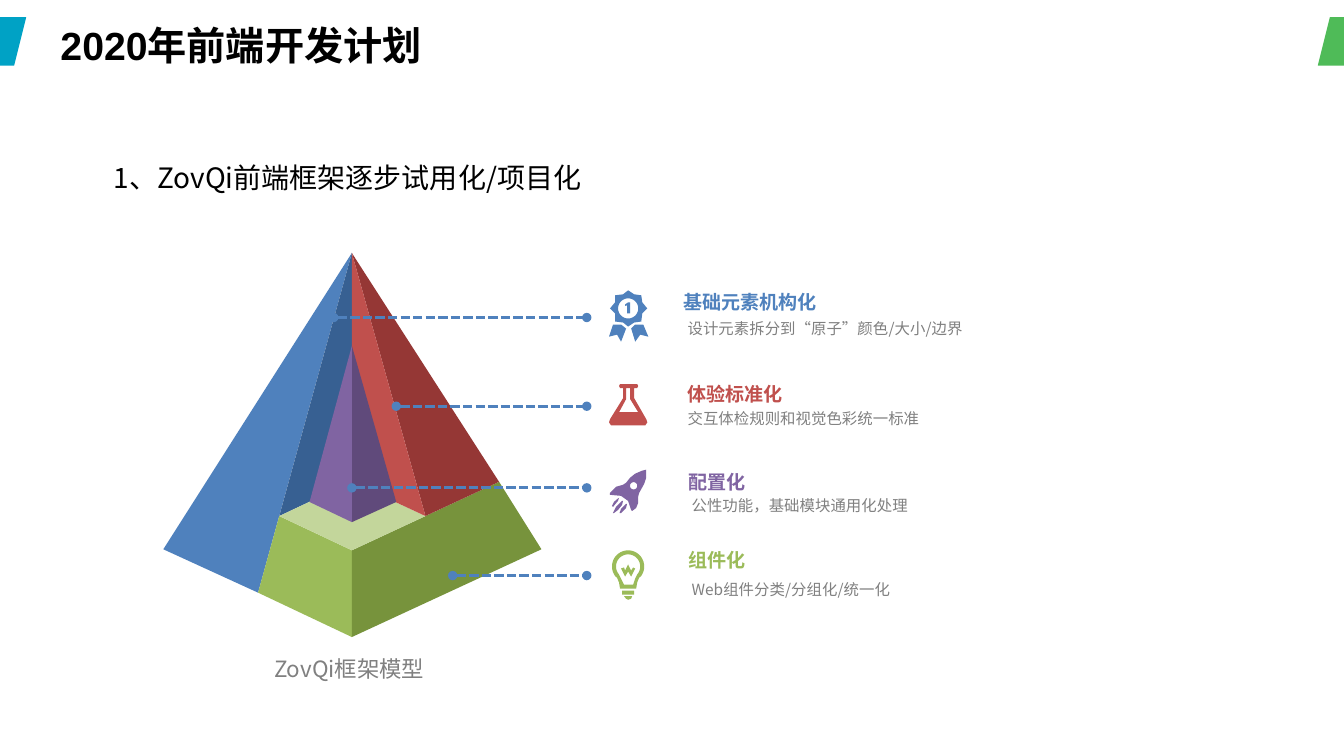
from math import cos, radians, sin

from lxml import etree
from pptx import Presentation
from pptx.dml.color import RGBColor
from pptx.enum.dml import MSO_LINE
from pptx.enum.shapes import MSO_CONNECTOR, MSO_SHAPE
from pptx.enum.text import MSO_ANCHOR
from pptx.oxml.ns import qn
from pptx.util import Inches, Pt

PARALLELOGRAM = MSO_SHAPE.PARALLELOGRAM
STRAIGHT = MSO_CONNECTOR.STRAIGHT
DASH = MSO_LINE.SQUARE_DOT
TOP, BOTTOM = MSO_ANCHOR.TOP, MSO_ANCHOR.BOTTOM

COLUMNS, ROWS = 1333, 750  # grid of cells, each 0.01 inch
CELL = Inches(0.01)
CJK_FONT = "Noto Sans CJK SC"
BLUE, RED, PURPLE, GREEN = "4F81BD", "C0504D", "8064A2", "9BBB59"
GRAY, BLACK = "808080", "000000"

# Pyramid corners
APEX, INNER_APEX = (349, 251), (349, 343)
LEFT, RIGHT, FRONT = (162, 545), (537, 545), (349, 632)
CUT_LEFT, CUT_RIGHT = (256, 588), (495, 478)
STEP_LEFT, STEP_RIGHT = (277, 512), (422, 512)
STEP_BACK, STEP_FRONT = (349, 478), (349, 546)
CORE_LEFT, CORE_RIGHT, CORE_FRONT = (307, 498), (393, 498), (349, 518)

PYRAMID = [
    (BLUE, [LEFT, APEX, CUT_LEFT]),
    ("376092", [STEP_LEFT, STEP_BACK, APEX]),
    (GREEN, [FRONT, STEP_FRONT, STEP_LEFT, CUT_LEFT]),
    ("77933C", [STEP_FRONT, CUT_RIGHT, RIGHT, FRONT]),
    ("C3D69B", [STEP_FRONT, STEP_LEFT, STEP_BACK, STEP_RIGHT]),
    ("953735", [STEP_RIGHT, APEX, CUT_RIGHT]),
    (RED, [STEP_RIGHT, STEP_BACK, APEX]),
    ("604A7B", [CORE_RIGHT, INNER_APEX, CORE_FRONT]),
    (PURPLE, [CORE_FRONT, CORE_LEFT, INNER_APEX]),
]


def arc(x, y, radius, start=0, end=360, steps=36):
    """Return points along a circular arc, angles in degrees."""
    angles = [radians(start + (end - start) * i / steps) for i in range(steps + 1)]
    return [(x + radius * cos(a), y + radius * sin(a)) for a in angles]


BADGE = [
    [(636, 319), (637, 311), (642, 306), (637, 300), (636, 293), (629, 292),
     (623, 288), (618, 292), (610, 293), (610, 300), (605, 306), (610, 311),
     (610, 319), (618, 320), (623, 324), (629, 320)],
    arc(623, 306, 10),
    [(620, 302), (620, 303.5), (622, 303), (622, 311), (625, 311), (625, 300), (623, 300)],
    [(608, 322), (604, 334), (612, 332), (616, 339), (621, 326), (616, 322)],
    [(638, 322), (630, 322), (626, 326), (630, 339), (635, 332), (643, 334)],
]
FLASK = [
    [(641, 416), (642, 419), (640, 422), (606, 422), (604, 419), (605, 416),
     (618, 395), (618, 385), (615, 385), (614, 383), (615, 381), (632, 381),
     (633, 383), (632, 385), (629, 385), (629, 395)],
    [(614, 409), (633, 409), (625, 396), (625, 385), (621, 385), (621, 396)],
]
ROCKET = [
    [(641, 466), (641, 474), (639, 480), (634, 489), (633, 493), (633, 499),
     (631, 504), (627, 507), (626, 506), (623, 497), (616, 492), (605, 491),
     (605, 489), (611, 483), (618, 481), (621, 479), (625, 474), (630, 470), (637, 467)],
    arc(628.5, 482, 3.6),
    [(622, 500), (621, 504), (616, 509), (614.5, 509), (616, 505), (621, 500)],
    [(618, 497), (617, 501), (613, 506), (609, 509), (608, 509), (611, 503), (617, 497)],
    [(614, 494), (613, 497), (608, 503), (607, 502), (609, 498), (613, 494.5)],
]
BULB = [
    arc(623, 562, 16, 140, 400) + [(634, 573), (632, 578), (631, 584),
                                   (615, 584), (614, 578), (612, 573)],
    arc(623, 562, 12, 140, 400) + [(630, 574), (628, 580), (619, 580), (616, 574)],
    [(626, 566), (623, 560), (620, 566), (619, 563), (616, 564), (620, 572),
     (623, 567), (626, 572), (630, 564), (628, 563)],
    [(617, 586), (629, 586), (629, 590), (617, 590)],
    [(619, 591.5), (627, 591.5), (626, 594), (623, 595), (621, 594)],
]

# colour, icon, heading, its place, detail, its box, pointer start, pointer row
LEGEND = [
    (BLUE, BADGE, "基础元素机构化", (639, 291), "设计元素拆分到“原子”颜色/大小/边界",
     (682, 317, 280, 19), 331, 315),
    (RED, FLASK, "体验标准化", (643, 382), "交互体检规则和视觉色彩统一标准",
     (682, 406, 231, 19), 393, 403),
    (PURPLE, ROCKET, "配置化", (644, 469), "公性功能，基础模块通用化处理",
     (686, 492, 216, 19), 349, 484),
    (GREEN, BULB, "组件化", (644, 547), "Web组件分类/分组化/统一化",
     (686, 576, 202, 19), 449, 571),
]
POINTER_END = 582


def cells(*counts):
    return [round(count * CELL) for count in counts]


def rgb(color):
    return RGBColor.from_string(color)


def paint(shape, color):
    shape.shadow.inherit = False
    shape.fill.solid()
    shape.fill.fore_color.rgb = rgb(color)
    shape.line.fill.background()


def add_outline(page, contours, color):
    """Draw closed contours as one shape; a contour inside another is a hole."""
    builder = None
    for contour in contours:
        first, *rest = [cells(*point) for point in contour]
        if builder is None:
            builder = page.shapes.build_freeform(*first, scale=1.0)
        else:
            builder.move_to(*first)
        builder.add_line_segments(rest, close=True)
    paint(builder.convert_to_shape(), color)


def add_text(page, text, place, size, color, margins=(0, 0, 0, 0),
             anchor=TOP, bold=False, font=CJK_FONT):
    frame = page.shapes.add_textbox(*cells(*place)).text_frame
    left, top, right, bottom = cells(*margins)
    layout = {"word_wrap": True, "vertical_anchor": anchor, "margin_left": left,
              "margin_top": top, "margin_right": right, "margin_bottom": bottom}
    for name, value in layout.items():
        setattr(frame, name, value)
    span = frame.paragraphs[0].add_run()
    span.text = text
    for name, value in {"size": Pt(size), "bold": bold, "name": font}.items():
        setattr(span.font, name, value)
    span.font.color.rgb = rgb(color)
    etree.SubElement(span.font._element, qn("a:ea"), typeface=CJK_FONT)


def add_pointer(page, start, row):
    """Draw a dashed line with a dot at each end."""
    pointer = page.shapes.add_connector(STRAIGHT, *cells(start, row, POINTER_END, row))
    pointer.line.color.rgb = rgb(BLUE)
    pointer.line.width = Pt(2.25)
    pointer.line.dash_style = DASH
    line = pointer.line._get_or_add_ln()
    for end in ("a:headEnd", "a:tailEnd"):
        etree.SubElement(line, qn(end), type="oval")
    etree.SubElement(pointer._element.spPr, qn("a:effectLst"))


def add_edge_marks(page):
    for center, color in ((0, "00A2C5"), (COLUMNS, "4FBB58")):
        mark = page.shapes.add_shape(PARALLELOGRAM, *cells(center - 26, 17, 52, 48))
        paint(mark, color)


def main():
    deck = Presentation()
    deck.slide_width, deck.slide_height = cells(COLUMNS, ROWS)
    page = deck.slides.add_slide(deck.slide_layouts[6])
    add_edge_marks(page)
    add_text(page, "2020年前端开发计划", (60, 21, 651, 47), 28, BLACK, bold=True, font="Arial")
    for color, corners in PYRAMID:
        add_outline(page, [corners], color)
    for color, icon, heading, (column, row), detail, box, start, level in LEGEND:
        add_pointer(page, start, level)
        add_outline(page, icon, color)
        add_text(page, heading, (column, row, 325, 20), 13.6, color,
                 margins=(39, 0, 0, 0), anchor=BOTTOM, bold=True)
        add_text(page, detail, box, 11, GRAY)
    padding = (10, 5, 10, 5)
    add_text(page, "1、ZovQi前端框架逐步试用化/项目化", (103, 154, 506, 44), 20, BLACK, padding)
    add_text(page, "ZovQi框架模型", (262, 645, 184, 37), 16, GRAY, padding)
    deck.save("out.pptx")


if __name__ == "__main__":
    main()
